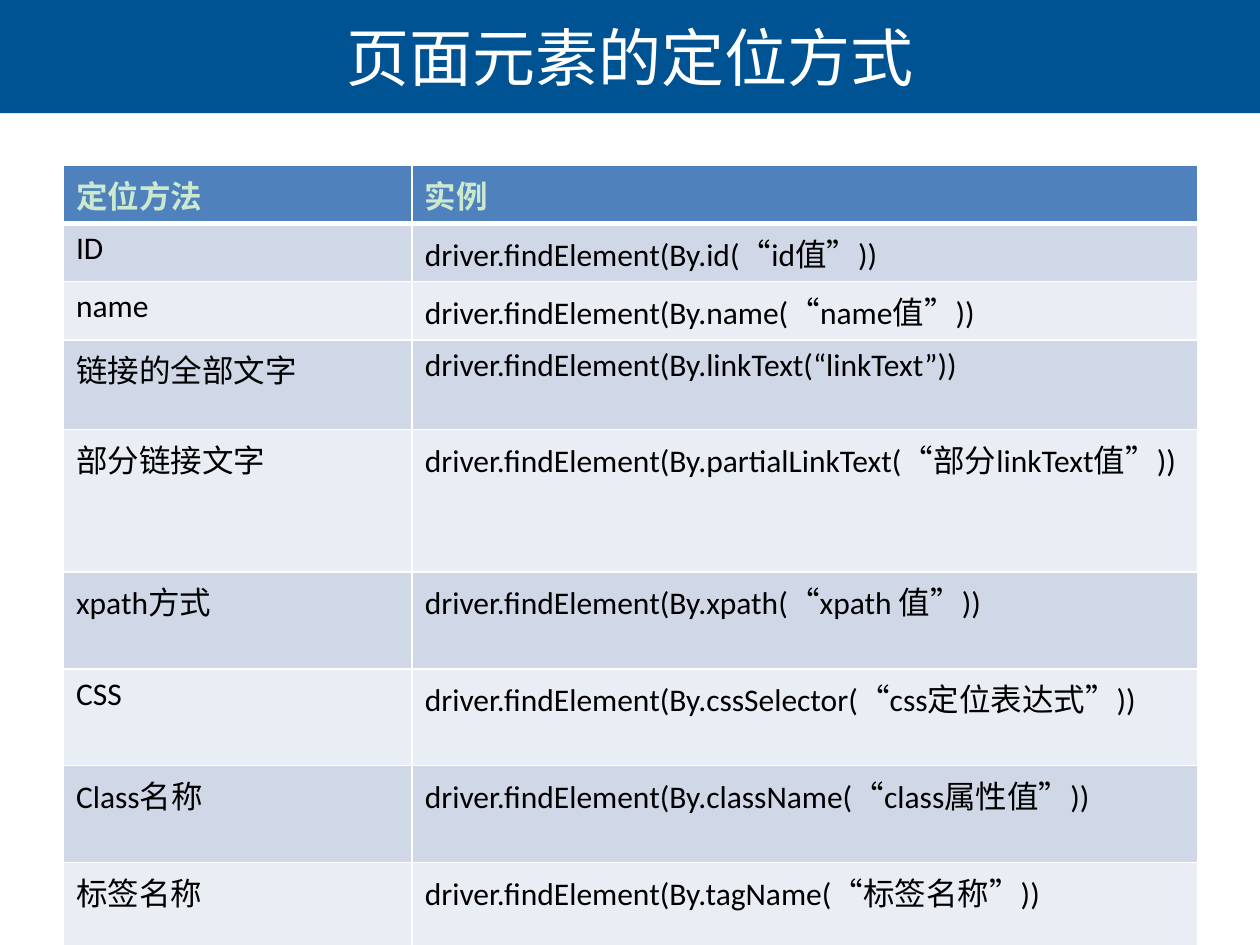
from dataclasses import dataclass

import pptx
import pptx.dml.color
import pptx.enum.shapes
import pptx.enum.text
import pptx.oxml
import pptx.oxml.ns
import pptx.util

Cm = pptx.util.Cm
Pt = pptx.util.Pt
qn = pptx.oxml.ns.qn

COLORS = {
    "white": "FFFFFF",
    "band": "005392",
    "header": "4F81BD",
    "header_text": "CCE8CF",
    "odd": "D0D8E8",
    "even": "E9EDF4",
    "text": "000000",
}
LATIN = "Calibri"
CJK = "Noto Sans CJK SC"
A_NS = "http://schemas.openxmlformats.org/drawingml/2006/main"


@dataclass
class Locator:
    method: str
    example: str
    height: float  # cm


HEADER = Locator("定位方法", "实例", 1.14)
LOCATORS = [
    Locator("ID", "driver.findElement(By.id(“id值”))", 1.17),
    Locator("name", "driver.findElement(By.name(“name值”))", 1.17),
    Locator("链接的全部文字", "driver.findElement(By.linkText(“linkText”))", 1.81),
    Locator("部分链接文字", "driver.findElement(By.partialLinkText(“部分linkText值”))", 2.87),
    Locator("xpath方式", "driver.findElement(By.xpath(“xpath 值”))", 1.95),
    Locator("CSS", "driver.findElement(By.cssSelector(“css定位表达式”))", 1.95),
    Locator("Class名称", "driver.findElement(By.className(“class属性值”))", 1.95),
    Locator("标签名称", "driver.findElement(By.tagName(“标签名称”))", 1.7),
]


def rgb(name: str) -> pptx.dml.color.RGBColor:
    return pptx.dml.color.RGBColor.from_string(COLORS[name])


def add_run(p, text: str, size: int, color: str, font: str, bold: bool = False) -> None:
    r = p.add_run()
    r.text = text
    r.font.size = Pt(size)
    r.font.bold = bold
    r.font.name = font
    r.font.color.rgb = rgb(color)
    latin = r.font._element.find(qn("a:latin"))
    latin.addnext(pptx.oxml.parse_xml(f'<a:ea xmlns:a="{A_NS}" typeface="{CJK}"/>'))


def set_borders(cell, bottom: int) -> None:
    """Draw white cell borders, 1 pt wide except the top or bottom given."""
    tc_pr = cell._tc.get_or_add_tcPr()
    widths = {"lnL": 1, "lnR": 1, "lnT": 1, "lnB": bottom}
    for i, (tag, width) in enumerate(widths.items()):
        line = pptx.oxml.parse_xml(
            f'<a:{tag} xmlns:a="{A_NS}" w="{int(Pt(width))}"><a:solidFill>'
            f'<a:srgbClr val="{COLORS["white"]}"/></a:solidFill></a:{tag}>'
        )
        tc_pr.insert(i, line)


def fill_row(table, index: int, locator: Locator) -> None:
    is_header = index == 0
    fill = "header" if is_header else ("odd" if index % 2 else "even")
    table.rows[index].height = Cm(locator.height)
    for cell, text in zip(table.rows[index].cells, (locator.method, locator.example)):
        cell.fill.solid()
        cell.fill.fore_color.rgb = rgb(fill)
        set_borders(cell, bottom=3 if is_header else 1)
        color = "header_text" if is_header else "text"
        add_run(cell.text_frame.paragraphs[0], text, 18, color, LATIN, is_header)


def add_band(s, width: int, height: int):
    band = s.shapes.add_shape(
        pptx.enum.shapes.MSO_SHAPE.RECTANGLE, 0, 0, width, height
    )
    band.shadow.inherit = False
    band.fill.solid()
    band.fill.fore_color.rgb = rgb("band")
    band.line.fill.background()
    return band


def add_locator_table(s):
    rows = [HEADER, *LOCATORS]
    frame = s.shapes.add_table(
        len(rows), 2, Cm(1.28), Cm(3.33), Cm(22.86), Cm(sum(x.height for x in rows))
    )
    for column, width in zip(frame.table.columns, (7.03, 15.83)):
        column.width = Cm(width)
    for index, locator in enumerate(rows):
        fill_row(frame.table, index, locator)
    return frame


def format_title(title, width: int, height: int) -> None:
    title.left, title.top, title.width, title.height = 0, 0, width, height
    tf = title.text_frame
    tf.word_wrap = True
    tf.vertical_anchor = pptx.enum.text.MSO_ANCHOR.MIDDLE
    p = tf.paragraphs[0]
    p.alignment = pptx.enum.text.PP_ALIGN.CENTER
    add_run(p, "页面元素的定位方式", 36, "white", CJK)


def main() -> None:
    prs = pptx.Presentation()
    prs.slide_width, prs.slide_height = Cm(25.4), Cm(19.05)
    s = prs.slides.add_slide(prs.slide_layouts[5])
    s.background.fill.solid()
    s.background.fill.fore_color.rgb = rgb("white")

    band_height = Cm(2.28)
    title = s.shapes.title
    format_title(title, prs.slide_width, band_height)
    for sp in (add_band(s, prs.slide_width, band_height), add_locator_table(s)):
        title.element.addprevious(sp.element)
    prs.save("out.pptx")


if __name__ == "__main__":
    main()
